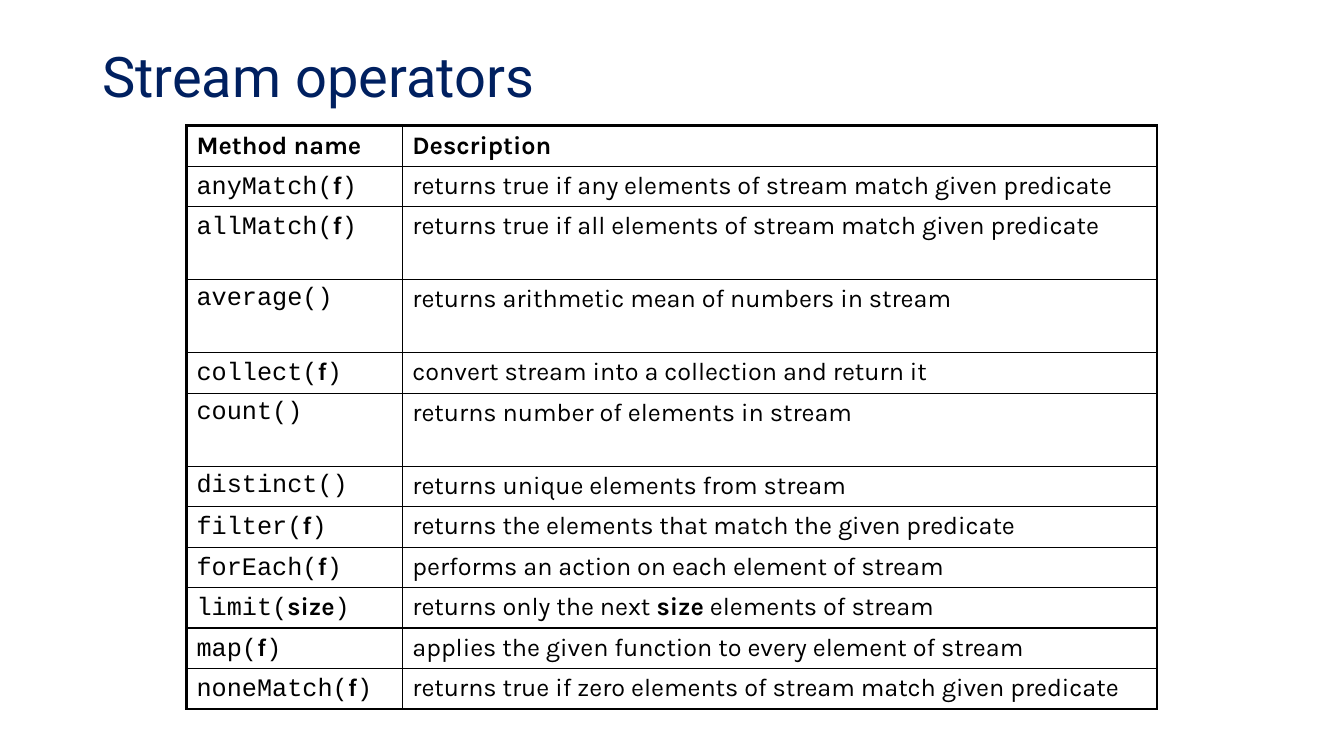
from lxml.etree import SubElement
from pptx import Presentation
from pptx.dml.color import RGBColor
from pptx.enum.text import MSO_ANCHOR
from pptx.oxml.ns import qn
from pptx.util import Cm, Pt

COLORS = {"title": "002060", "text": "000000", "border": "000000"}
TITLE_FONT, BODY_FONT, CODE_FONT = "Roboto", "Karla", "Courier New"
THIN, THICK = Pt(1), Pt(2.25)
HEADER_HEIGHT, ROW_HEIGHT, TALL_HEIGHT = 0.99, 1.02, 1.84

# Text between asterisks is bold
HEADERS = ("*Method name*", "*Description*")
OPERATORS = [
    ("anyMatch(*f*)", "returns true if any elements of stream match given predicate", ROW_HEIGHT),
    ("allMatch(*f*)", "returns true if all elements of stream match given predicate", TALL_HEIGHT),
    ("average()", "returns arithmetic mean of numbers in stream", TALL_HEIGHT),
    ("collect(*f*)", "convert stream into a collection and return it", ROW_HEIGHT),
    ("count()", "returns number of elements in stream", TALL_HEIGHT),
    ("distinct()", "returns unique elements from stream", ROW_HEIGHT),
    ("filter(*f*)", "returns the elements that match the given predicate", ROW_HEIGHT),
    ("forEach(*f*)", "performs an action on each element of stream", ROW_HEIGHT),
    ("limit(*size*)", "returns only the next *size* elements of stream", ROW_HEIGHT),
    ("map(*f*)", "applies the given function to every element of stream", ROW_HEIGHT),
    ("noneMatch(*f*)", "returns true if zero elements of stream match given predicate", ROW_HEIGHT),
]


def write_text(para, text, *, size=18, font=BODY_FONT, bold_font=BODY_FONT, color="text"):
    for index, part in enumerate(text.split("*")):
        if not part:
            continue
        bold = index % 2 == 1
        span = para.add_run()
        span.text = part
        span.font.size = Pt(size)
        span.font.name = bold_font if bold else font
        span.font.bold = bold
        span.font.color.rgb = RGBColor.from_string(COLORS[color])


def set_borders(cell, **widths):
    properties = cell._tc.get_or_add_tcPr()
    for position, side in enumerate("LRTB"):
        line = SubElement(properties, qn(f"a:ln{side}"), w=str(widths[side]))
        fill = SubElement(line, qn("a:solidFill"))
        SubElement(fill, qn("a:srgbClr"), val=COLORS["border"])
        # Border lines come before the cell fill
        properties.insert(position, line)


def add_title(page, box, text):
    frame = page.shapes.add_textbox(*map(Cm, box)).text_frame
    frame.word_wrap = True
    frame.vertical_anchor = MSO_ANCHOR.MIDDLE
    para = frame.paragraphs[0]
    para.line_spacing = 0.9
    write_text(para, text, size=40, font=TITLE_FONT, color="title")


def add_operator_table(page, box, column_widths):
    rows = [(*HEADERS, HEADER_HEIGHT), *OPERATORS]
    last_row, last_column = len(rows) - 1, len(column_widths) - 1
    table = page.shapes.add_table(len(rows), len(column_widths), *map(Cm, box)).table
    table.first_row = table.horz_banding = False
    for column, width in zip(table.columns, column_widths):
        column.width = Cm(width)

    for row_index, (method, description, height) in enumerate(rows):
        table.rows[row_index].height = Cm(height)
        for column_index, text in enumerate((method, description)):
            cell = table.cell(row_index, column_index)
            cell.fill.background()
            # Thick frame outside, thin rules inside
            set_borders(
                cell,
                L=THICK if column_index == 0 else THIN,
                R=THICK if column_index == last_column else THIN,
                T=THICK if row_index == 0 else THIN,
                B=THICK if row_index == last_row else THIN,
            )
            font = CODE_FONT if column_index == 0 else BODY_FONT
            write_text(cell.text_frame.paragraphs[0], text, font=font)


def main():
    deck = Presentation()
    deck.slide_width, deck.slide_height = Cm(33.87), Cm(19.05)
    page = deck.slides.add_slide(deck.slide_layouts[6])
    add_title(page, (2.33, 1.01, 29.21, 2), "Stream operators")
    add_operator_table(page, (4.7, 3.17, 24.46, 14.67), (5.44, 19.02))
    deck.save("out.pptx")


if __name__ == "__main__":
    main()
